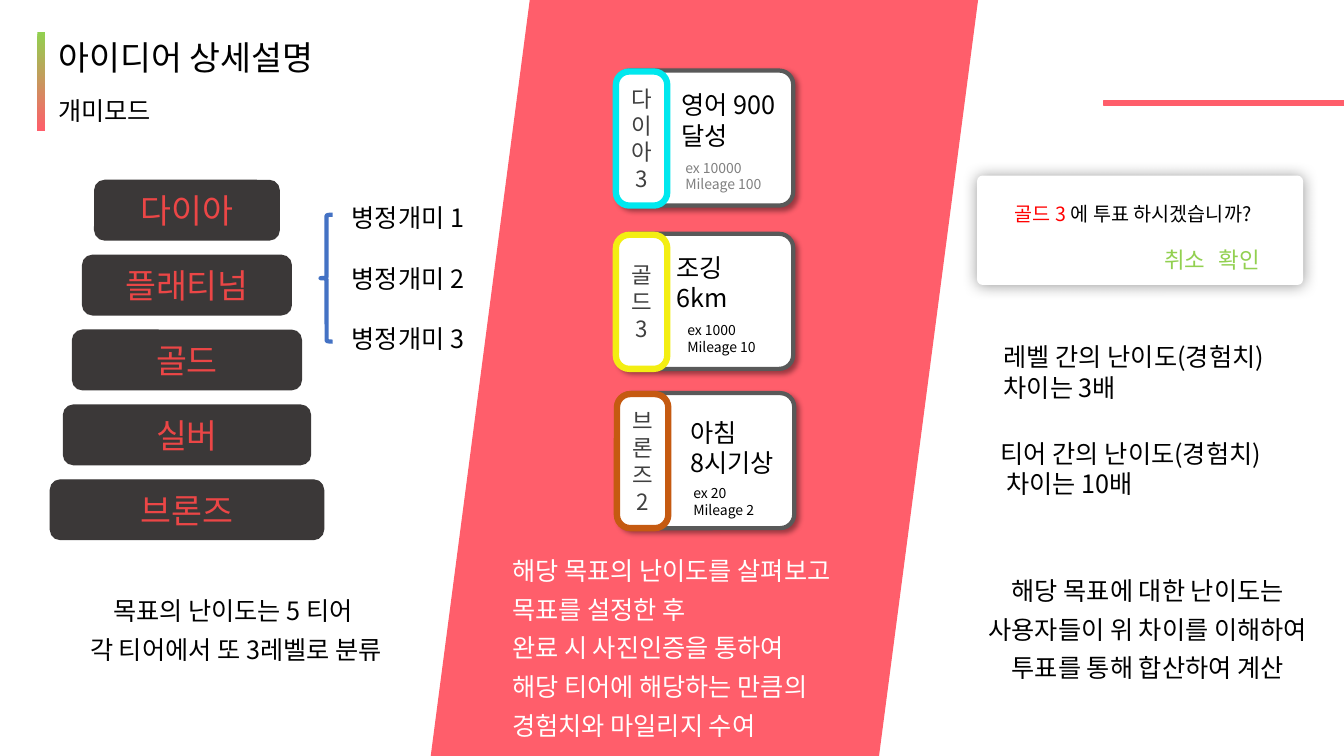
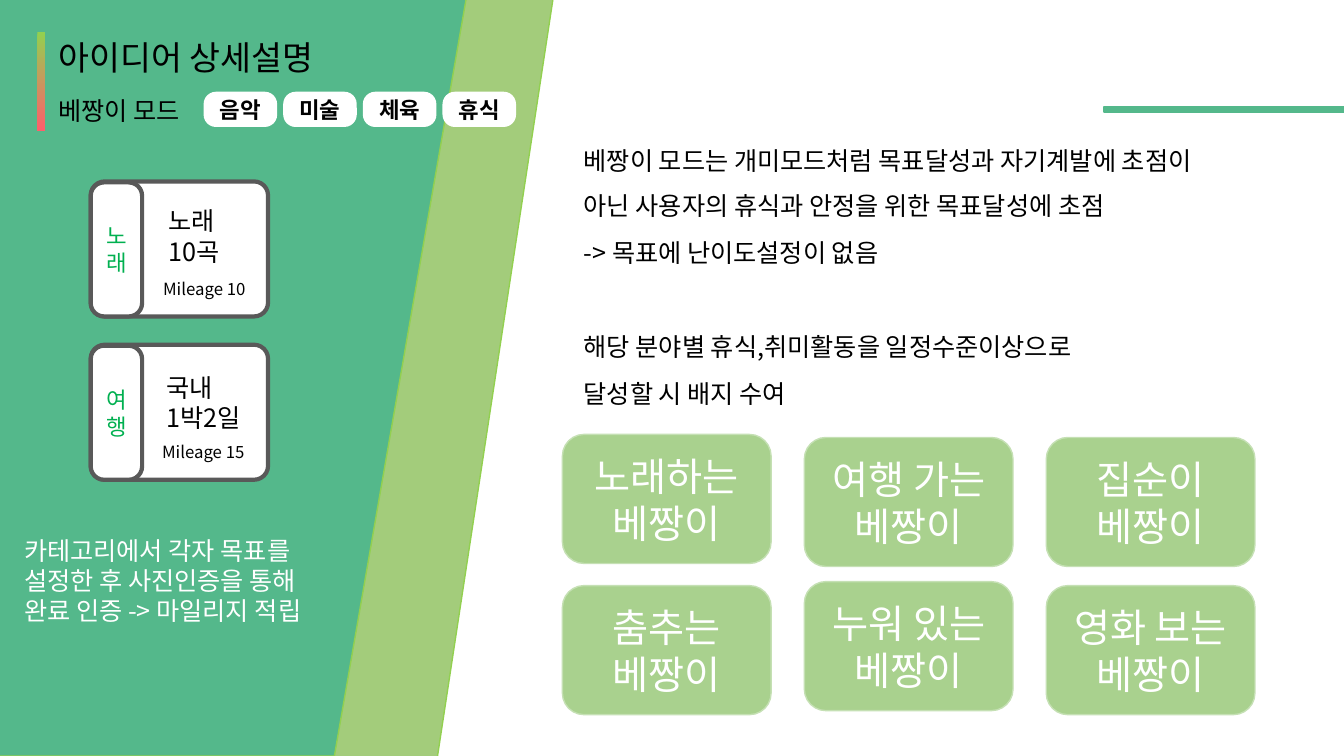
"""Build two slides that explain the ant mode and the grasshopper mode."""
from dataclasses import dataclass, replace
from typing import NamedTuple, Optional

import lxml.etree
import pptx
import pptx.dml.color
import pptx.enum.shapes
import pptx.enum.text
import pptx.oxml.ns
import pptx.shapes.autoshape
import pptx.slide
import pptx.text.text
import pptx.util

SLIDE_COLUMNS, SLIDE_ROWS = 133.33, 75
CELL = pptx.util.Inches(0.1)
FONT = "Noto Sans CJK KR"
COLORS = {
    "black": "000000", "white": "FFFFFF", "coral": "FF5E6B", "charcoal": "3B3838",
    "tier": "EB4646", "brace": "4472C4", "edge": "595959", "diamond": "00E8EE",
    "gold": "F3EE12", "bronze": "C55A11", "label": "404040", "gray": "808080",
    "red": "FF0000", "lime": "92D050", "teal": "54B88B", "olive": "A3CC7B",
    "badge": "A9D18E", "badge edge": "C5E0B4", "green": "00B050",
}
KIND = pptx.enum.shapes.MSO_SHAPE
LEFT = pptx.enum.text.PP_ALIGN.LEFT
CENTER = pptx.enum.text.PP_ALIGN.CENTER


class Box(NamedTuple):
    column: float
    row: float
    columns: float
    rows: float


class Shadow(NamedTuple):
    blur: float
    distance: float
    angle: int


@dataclass(frozen=True)
class TextStyle:
    size: float = 18
    color: str = "black"
    bold: bool = False
    align: int = LEFT
    gap: float = 0


@dataclass(frozen=True)
class Look:
    kind: int = KIND.ROUNDED_RECTANGLE
    fill: Optional[str] = None
    line: Optional[str] = None
    width: float = 1
    adjustment: Optional[float] = None
    shadow: Optional[Shadow] = None


@dataclass(frozen=True)
class Card:
    column: float
    row: float
    label: str
    label_edge: str
    goal: str
    goal_box: Box
    note: str
    note_box: Box
    note_color: str = "black"


class Badge(NamedTuple):
    text: str
    lift: float = 0


BODY = TextStyle()
SPACED = TextStyle(gap=6)
SPACED_CENTER = replace(SPACED, align=CENTER)
CARD_LOOK = Look(fill="white", line="edge", width=3, adjustment=0.104)
CARD_SHADOW = Shadow(4, 3, 45)
DIALOG_SHADOW = Shadow(11, 0, 0)

TIERS = (("다이아", 18.3), ("플래티넘", 20.7), ("골드", 22.7), ("실버", 24.5), ("브론즈", 27.1))
TIER_CENTER, TIER_ROW, TIER_STEP = 18.55, 17.9, 7.43
GOAL_CARDS = (
    Card(61.1, 7, "다이아 3", "diamond", "영어 900달성", Box(66.6, 8.4, 12.3, 7.1),
         "ex 10000\nMileage 100", Box(67, 15.3, 14.3, 4.3), "gray"),
    Card(61.1, 23.2, "골드 3", "gold", "조깅\n6km", Box(66.1, 24.5, 19.5, 7.1),
         "ex 1000\nMileage 10", Box(67.2, 31.4, 14.3, 4.3)),
    Card(61.2, 39, "브론즈\n2", "bronze", "아침\n8시기상", Box(67.5, 40.9, 11.6, 7.1),
         "ex 20\nMileage 2", Box(67.8, 47.6, 14.3, 4.3)),
)
REST_CARDS = (
    Card(9, 18, "노래", "edge", "노래\n10곡", Box(15.7, 19.9, 12.3, 7.1),
         "Mileage 10", Box(15.2, 27.2, 14.3, 3)),
    Card(9, 34.2, "여행", "edge", "국내\n1박2일", Box(15.5, 36.4, 19.5, 7.1),
         "Mileage 15", Box(15.1, 43.3, 14.3, 3)),
)
CHIPS = ("음악", "미술", "체육", "휴식")
BADGES = (
    (Badge("노래하는\n베짱이", 0.3), Badge("여행 가는\n베짱이"), Badge("집순이\n베짱이")),
    (Badge("춤추는\n베짱이"), Badge("누워 있는\n베짱이", 0.4), Badge("영화 보는\n베짱이")),
)


def rgb(name: str) -> pptx.dml.color.RGBColor:
    return pptx.dml.color.RGBColor.from_string(COLORS[name])


def cells(box: Box) -> list[int]:
    return [round(length * CELL) for length in box]


def add_run(paragraph, text: str, style: TextStyle) -> None:
    run = paragraph.add_run()
    run.text = text
    values = {"size": pptx.util.Pt(style.size), "bold": style.bold, "name": FONT}
    for name, value in values.items():
        setattr(run.font, name, value)
    run.font.color.rgb = rgb(style.color)
    east_asian = lxml.etree.SubElement(run.font._element, pptx.oxml.ns.qn("a:ea"))
    east_asian.set("typeface", FONT)


def write(frame: pptx.text.text.TextFrame, text: str, style: TextStyle) -> None:
    frame.word_wrap = True
    for index, line in enumerate(text.split("\n")):
        paragraph = frame.add_paragraph() if index else frame.paragraphs[0]
        values = {
            "alignment": style.align,
            "line_spacing": 1.0,
            "space_before": pptx.util.Pt(style.gap if index else 0),
        }
        for name, value in values.items():
            setattr(paragraph, name, value)
        add_run(paragraph, line, style)


def add_text(slide: pptx.slide.Slide, box: Box, text: str,
             style: TextStyle = BODY) -> pptx.text.text.TextFrame:
    frame = slide.shapes.add_textbox(*cells(box)).text_frame
    write(frame, text, style)
    return frame


def fill_placeholder(slide: pptx.slide.Slide, index: int, box: Box, text: str,
                     style: TextStyle) -> pptx.text.text.TextFrame:
    placeholder = slide.placeholders[index]
    names = ("left", "top", "width", "height")
    for name, value in zip(names, cells(box)):
        setattr(placeholder, name, value)
    slide.shapes._spTree.append(placeholder._element)
    frame = placeholder.text_frame
    frame.auto_size = pptx.enum.text.MSO_AUTO_SIZE.NONE
    frame.vertical_anchor = pptx.enum.text.MSO_ANCHOR.TOP
    write(frame, text, style)
    for paragraph in frame.paragraphs:
        properties = paragraph._p.get_or_add_pPr()
        for name in ("marL", "indent"):
            properties.set(name, "0")
        lxml.etree.SubElement(properties, pptx.oxml.ns.qn("a:buNone"))
    return frame


def add_shape(slide: pptx.slide.Slide, box: Box, look: Look, text: str = "",
              style: TextStyle = BODY) -> pptx.shapes.autoshape.Shape:
    shape = slide.shapes.add_shape(look.kind, *cells(box))
    shape.shadow.inherit = False
    for part, color in ((shape.fill, look.fill), (shape.line.fill, look.line)):
        if color:
            part.solid()
            part.fore_color.rgb = rgb(color)
        else:
            part.background()
    if look.line:
        shape.line.width = pptx.util.Pt(look.width)
    if look.adjustment is not None:
        shape.adjustments[0] = look.adjustment
    if look.shadow:
        add_shadow(shape, look.shadow)
    if text:
        write(shape.text_frame, text, replace(style, align=CENTER))
    return shape


def add_shadow(shape: pptx.shapes.autoshape.Shape, shadow: Shadow) -> None:
    qualified = pptx.oxml.ns.qn
    effects = shape._element.spPr.find(qualified("a:effectLst"))
    outer = lxml.etree.SubElement(effects, qualified("a:outerShdw"))
    values = {
        "blurRad": pptx.util.Pt(shadow.blur), "dist": pptx.util.Pt(shadow.distance),
        "dir": shadow.angle * 60000, "algn": "ctr", "rotWithShape": 0,
    }
    for name, value in values.items():
        outer.set(name, str(value))
    color = lxml.etree.SubElement(outer, qualified("a:srgbClr"), val=COLORS["black"])
    lxml.etree.SubElement(color, qualified("a:alpha"), val="40000")


def add_card(slide: pptx.slide.Slide, card: Card, look: Look, label_width: float,
             label_color: str, note_size: float) -> None:
    add_shape(slide, Box(card.column, card.row, 17.6, 13.4), look)
    label_look = replace(look, line=card.label_edge, width=label_width,
                         adjustment=0.261, shadow=None)
    add_shape(slide, Box(card.column, card.row + 0.1, 5.1, 13.3), label_look,
              card.label, TextStyle(16, label_color))
    add_text(slide, card.goal_box, card.goal)
    add_text(slide, card.note_box, card.note, TextStyle(note_size, card.note_color))


def add_header(slide: pptx.slide.Slide, mode: str, accent: str, rule_row: float) -> None:
    fill_placeholder(slide, 0, Box(4.8, 3.2, 34, 5), "아이디어 상세설명", TextStyle(24))
    add_text(slide, Box(4.8, 9, 28.8, 4), mode)
    bar = add_shape(slide, Box(3.7, 3.2, 0.75, 9.8), Look(KIND.RECTANGLE))
    bar.fill.gradient()
    bar.fill.gradient_angle = 270
    for stop, color in zip(bar.fill.gradient_stops, ("lime", "coral")):
        stop.color.rgb = rgb(color)
    add_shape(slide, Box(SLIDE_COLUMNS - 23.8, rule_row, 23.8, 0.5),
              Look(KIND.RECTANGLE, accent, accent))


def add_ant_slide(slide: pptx.slide.Slide) -> None:
    add_shape(slide, Box(42.8, -0.3, 54.2, 75.3),
              Look(KIND.PARALLELOGRAM, "coral", "coral", adjustment=0.182))
    add_header(slide, "개미모드", "coral", 10)
    for index, (tier, columns) in enumerate(TIERS):
        box = Box(TIER_CENTER - columns / 2, TIER_ROW + index * TIER_STEP, columns, 5.9)
        add_shape(slide, box, Look(fill="charcoal", line="charcoal"), tier,
                  TextStyle(24, "tier"))
    add_shape(slide, Box(31.8, 21.3, 1.2, 12.6),
              Look(KIND.LEFT_BRACE, line="brace", width=3))
    add_text(slide, Box(33.9, 19.6, 14.9, 19.2), "병정개미 1\n병정개미 2\n병정개미 3",
             TextStyle(gap=21.6))
    for card in GOAL_CARDS:
        add_card(slide, card, replace(CARD_LOOK, shadow=CARD_SHADOW), 4.5, "label", 10)
    add_text(slide, Box(98.6, 33.4, 34, 7.1), "레벨 간의 난이도(경험치)\n차이는 3배")
    add_text(slide, Box(98.3, 43, 33.2, 7.1), "티어 간의 난이도(경험치)\n 차이는 10배")
    add_shape(slide, Box(97, 17.5, 32.2, 10.7),
              Look(fill="white", line="white", adjustment=0.044, shadow=DIALOG_SHADOW))
    question = add_text(slide, Box(99.7, 19.5, 28, 4), "골드 3 ", TextStyle(14, "red"))
    add_run(question.paragraphs[0], "에 투표 하시겠습니까?", TextStyle(14))
    for index, answer in enumerate(("취소", "확인")):
        add_text(slide, Box(114.5 + 5.4 * index, 23.9, 7, 3.7), answer, TextStyle(16, "lime"))
    add_text(slide, Box(6.1, 58.6, 34.6, 7.9),
             "목표의 난이도는 5 티어 \n각 티어에서 또 3레벨로 분류", SPACED_CENTER)
    fill_placeholder(slide, 1, Box(49.8, 54.6, 39.7, 19.5),
                     "해당 목표의 난이도를 살펴보고\n목표를 설정한 후\n"
                     "완료 시 사진인증을 통하여\n해당 티어에 해당하는 만큼의\n"
                     "경험치와 마일리지 수여", replace(SPACED, color="white"))
    add_text(slide, Box(95.5, 56.6, 36.7, 11.8),
             "해당 목표에 대한 난이도는\n사용자들이 위 차이를 이해하여\n"
             "투표를 통해 합산하여 계산", SPACED_CENTER)


def add_grasshopper_slide(slide: pptx.slide.Slide) -> None:
    for box, color in ((Box(-11.7, -1, 66.7, 76.1), "olive"),
                       (Box(-30.4, -1, 76.8, 76), "teal")):
        add_shape(slide, box, Look(KIND.PARALLELOGRAM, color, "lime", adjustment=0.174))
    add_header(slide, "베짱이 모드", "teal", 10.6)
    for index, chip in enumerate(CHIPS):
        add_shape(slide, Box(20.2 + 7.9 * index, 9.1, 7.3, 3.5),
                  Look(fill="white", adjustment=0.35), chip, TextStyle(16, bold=True))
    for card in REST_CARDS:
        add_card(slide, card, CARD_LOOK, 3, "green", 12)
    add_text(slide, Box(1.4, 52.6, 43.8, 10.1),
             "카테고리에서 각자 목표를\n설정한 후 사진인증을 통해\n"
             "완료 인증 -> 마일리지 적립", TextStyle(color="white"))
    summary = fill_placeholder(
        slide, 1, Box(56.9, 12.4, 66, 28.9),
        "베짱이 모드는 개미모드처럼 목표달성과 자기계발에 초점이 "
        "아닌 사용자의 휴식과 안정을 위한 목표달성에 초점\n"
        "-> 목표에 난이도설정이 없음\n해당 분야별 휴식,취미활동을 일정수준이상으로\n"
        "달성할 시 배지 수여", TextStyle(gap=12))
    summary.paragraphs[0].line_spacing = 1.5
    summary.paragraphs[2].space_before = pptx.util.Pt(45.6)
    for row, badges in enumerate(BADGES):
        for column, badge in enumerate(badges):
            box = Box(55.8 + 24 * column, 43.4 + 14.7 * row - badge.lift, 20.7, 12.8)
            add_shape(slide, box, Look(fill="badge", line="badge edge"), badge.text,
                      TextStyle(28, "white"))


def main() -> None:
    presentation = pptx.Presentation()
    presentation.slide_width = round(SLIDE_COLUMNS * CELL)
    presentation.slide_height = SLIDE_ROWS * CELL
    for build in (add_ant_slide, add_grasshopper_slide):
        build(presentation.slides.add_slide(presentation.slide_layouts[1]))
    presentation.save("out.pptx")


if __name__ == "__main__":
    main()
